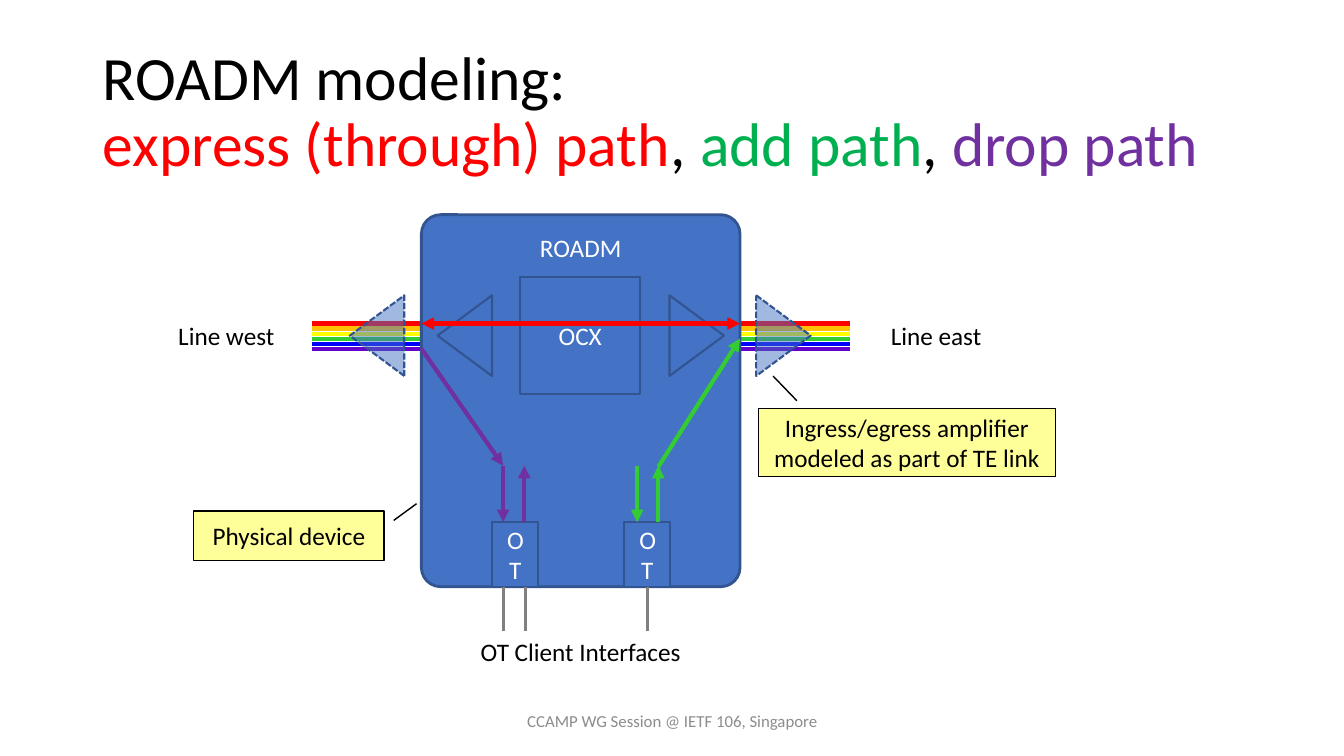
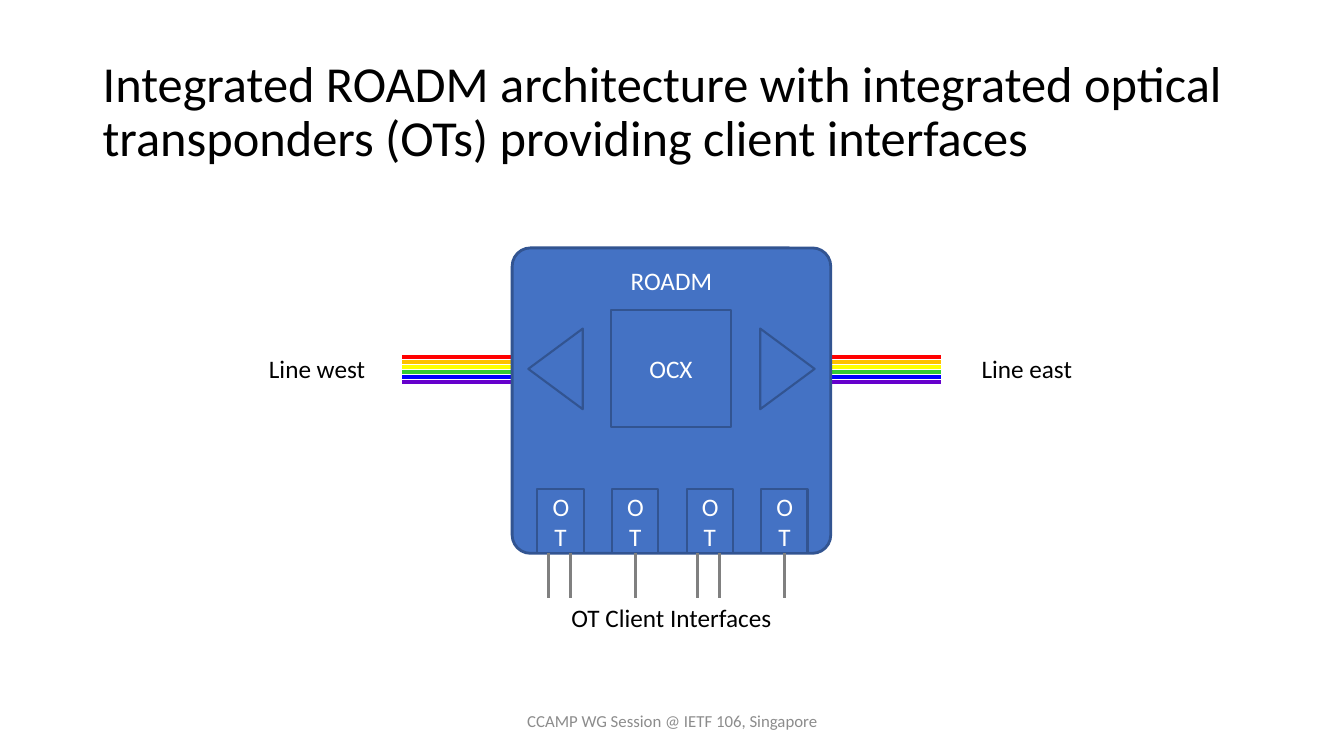
import dataclasses

import lxml.etree
import pptx
import pptx.dml.color
import pptx.enum.dml
import pptx.enum.shapes
import pptx.enum.text
import pptx.oxml.ns
import pptx.util

SHAPES = pptx.enum.shapes.MSO_SHAPE
ALIGN = pptx.enum.text.PP_ALIGN
ANCHOR = pptx.enum.text.MSO_ANCHOR
EMU_PER_PX = 9144


@dataclasses.dataclass(frozen=True)
class Theme:
    font: str = "Calibri"
    title_size: int = 44
    long_title_size: int = 36
    body_size: int = 18
    footer_size: int = 12
    text: str = "000000"
    light_text: str = "FFFFFF"
    footer: str = "8C8C8C"
    device: str = "4472C4"
    outline: str = "325491"
    note: str = "FFFF99"
    client: str = "808080"
    express: str = "FF0000"
    add: str = "33CC33"
    drop: str = "7030A0"
    add_title: str = "00B050"
    wavelengths: tuple = ("FF0000", "FFC000", "FFFF00", "33CC33", "0000FF", "6600CC")


def px(length):
    return pptx.util.Emu(round(length * EMU_PER_PX))


def rgb(value):
    return pptx.dml.color.RGBColor.from_string(value)


def add_xml(parent, tag, **attributes):
    return lxml.etree.SubElement(parent, pptx.oxml.ns.qn(tag), attributes)


class Deck:
    def __init__(self, theme):
        self.theme = theme
        self.presentation = pptx.Presentation()
        self.presentation.slide_width = px(1333)
        self.presentation.slide_height = px(750)
        self.slide = None

    def start_slide(self, title, size, accents=()):
        self.slide = self.presentation.slides.add_slide(self.presentation.slide_layouts[6])
        shape = self.text(92, 40, 1150, 145, title, size, align=ALIGN.LEFT, anchor=ANCHOR.MIDDLE)
        paragraph = shape.text_frame.paragraphs[0]
        paragraph.line_spacing = 0.9
        for words, color in accents:
            run = paragraph.add_run()
            run.text = words
            self.format_run(run, size, color)
        self.text(442, 695, 450, 40, "CCAMP WG Session @ IETF 106, Singapore",
                  self.theme.footer_size, self.theme.footer, anchor=ANCHOR.MIDDLE)

    def format_run(self, run, size, color):
        run.font.name = self.theme.font
        run.font.size = pptx.util.Pt(size)
        run.font.color.rgb = rgb(color)

    def fill_text(self, shape, words, size, color, align=ALIGN.CENTER, anchor=ANCHOR.MIDDLE):
        frame = shape.text_frame
        frame.text = words
        frame.word_wrap = True
        frame.vertical_anchor = anchor
        paragraph = frame.paragraphs[0]
        paragraph.alignment = align
        for run in paragraph.runs:
            self.format_run(run, size, color)

    def text(self, left, top, width, height, words, size=None, color=None,
             align=ALIGN.CENTER, anchor=ANCHOR.TOP):
        shape = self.slide.shapes.add_textbox(px(left), px(top), px(width), px(height))
        self.fill_text(shape, words, size or self.theme.body_size, color or self.theme.text,
                       align, anchor)
        return shape

    def shape(self, kind, left, top, width, height, fill, outline, weight):
        shape = self.slide.shapes.add_shape(kind, px(left), px(top), px(width), px(height))
        shape.shadow.inherit = False
        shape.fill.solid()
        shape.fill.fore_color.rgb = rgb(fill)
        shape.line.color.rgb = rgb(outline)
        shape.line.width = pptx.util.Pt(weight)
        return shape

    def block(self, left, top, width, height, words, kind=SHAPES.RECTANGLE, weight=1.5,
              anchor=ANCHOR.MIDDLE):
        shape = self.shape(kind, left, top, width, height, self.theme.device, self.theme.outline, weight)
        self.fill_text(shape, words, self.theme.body_size, self.theme.light_text, anchor=anchor)
        return shape

    def amplifier(self, left, top, rotation, external=False):
        shape = self.shape(SHAPES.ISOSCELES_TRIANGLE, left, top, 80, 54,
                           self.theme.device, self.theme.outline, 1.5)
        shape.rotation = rotation
        if external:
            shape.line.dash_style = pptx.enum.dml.MSO_LINE.SQUARE_DOT
            color = shape.element.spPr.find(pptx.oxml.ns.qn("a:solidFill"))[0]
            add_xml(color, "a:alpha", val="50000")

    def amplifier_pair(self, west, east, top, external=False):
        self.amplifier(west, top, 270, external)
        self.amplifier(east, top, 90, external)

    def callout(self, left, top, width, height, words, adjustments):
        shape = self.shape(SHAPES.LINE_CALLOUT_1, left, top, width, height,
                           self.theme.note, self.theme.text, 1)
        for index, value in enumerate(adjustments):
            shape.adjustments[index] = value
        self.fill_text(shape, words, self.theme.body_size, self.theme.text)

    def line(self, start, end, color, weight=3, arrows=()):
        connector = self.slide.shapes.add_connector(
            pptx.enum.shapes.MSO_CONNECTOR.STRAIGHT, px(start[0]), px(start[1]), px(end[0]), px(end[1]))
        connector.line.color.rgb = rgb(color)
        connector.line.width = pptx.util.Pt(weight)
        properties = connector.element.spPr
        outline = properties.find(pptx.oxml.ns.qn("a:ln"))
        for arrow in arrows:
            add_xml(outline, arrow, type="triangle")
        add_xml(properties, "a:effectLst")
        return connector

    def arrow(self, start, end, color):
        self.line(start, end, color, arrows=("a:tailEnd",))

    def transponder(self, left, bottom, ports):
        width = 46
        block = self.block(left, bottom - 64, width, 64, "OT")
        offsets = (width // 2,) if ports == 1 else (11, 33)
        for offset in offsets:
            x = left + offset
            connector = self.line((x, bottom), (x, bottom + 44), self.theme.client, 2)
            if ports == 1:
                connector.begin_connect(block, 2)

    def roadm(self, left, top, height, transponders):
        width, reach = 316, 109
        right, bottom = left + width, top + height
        for index, color in enumerate(self.theme.wavelengths):
            y = top + 108 + 5 * index
            self.line((left, y), (left - reach, y), color)
            self.line((right + reach, y), (right, y), color)
        body = self.block(left, top, width, height, "ROADM", SHAPES.ROUNDED_RECTANGLE, 2, ANCHOR.TOP)
        body.adjustments[0] = 0.06
        body.text_frame.margin_top = px(12)
        self.amplifier_pair(left + 3, right - 83, top + 93)
        self.block(left + 98, top + 62, 119, 116, "OCX")
        for offset, ports in transponders:
            self.transponder(left + offset, bottom, ports)
        self.text(left + 25, bottom + 44, 266, 40, "OT Client Interfaces")
        self.text(left - 255, top + 100, 123, 40, "Line west")
        self.text(right + 133, top + 100, 123, 40, "Line east")


def build_paths_slide(deck):
    theme = deck.theme
    deck.start_slide("ROADM modeling:\v", theme.title_size, (
        ("express (through) path", theme.express), (", ", theme.text),
        ("add path", theme.add_title), (", ", theme.text), ("drop path", theme.drop)))
    deck.roadm(418, 213, 369, ((70, 2), (201, 1)))
    deck.amplifier_pair(334, 737, 306, external=True)
    deck.arrow((418, 346), (499, 462), theme.drop)
    deck.arrow((653, 463), (734, 336), theme.add)
    for down, up, color in ((499, 520, theme.drop), (632, 653, theme.add)):
        deck.arrow((down, 462), (down, 518), color)
        deck.arrow((up, 518), (up, 462), color)
    deck.line((734, 321), (418, 321), theme.express, arrows=("a:headEnd", "a:tailEnd"))
    deck.callout(192, 507, 189, 49, "Physical device", (0.19, 1.05, -0.15, 1.17))
    deck.callout(752, 405, 295, 68, "Ingress/egress amplifier modeled as part of TE link",
                 (-0.11, 0.13, -0.47, 0.05))


def build_architecture_slide(deck):
    deck.start_slide("Integrated ROADM architecture with integrated optical transponders (OTs) "
                     "providing client interfaces", deck.theme.long_title_size)
    transponders = [(25 + 74 * index, ports) for index, ports in enumerate((2, 1, 2, 1))]
    deck.roadm(508, 246, 303, transponders)


def main():
    deck = Deck(Theme())
    build_paths_slide(deck)
    build_architecture_slide(deck)
    deck.presentation.save("out.pptx")


if __name__ == "__main__":
    main()
